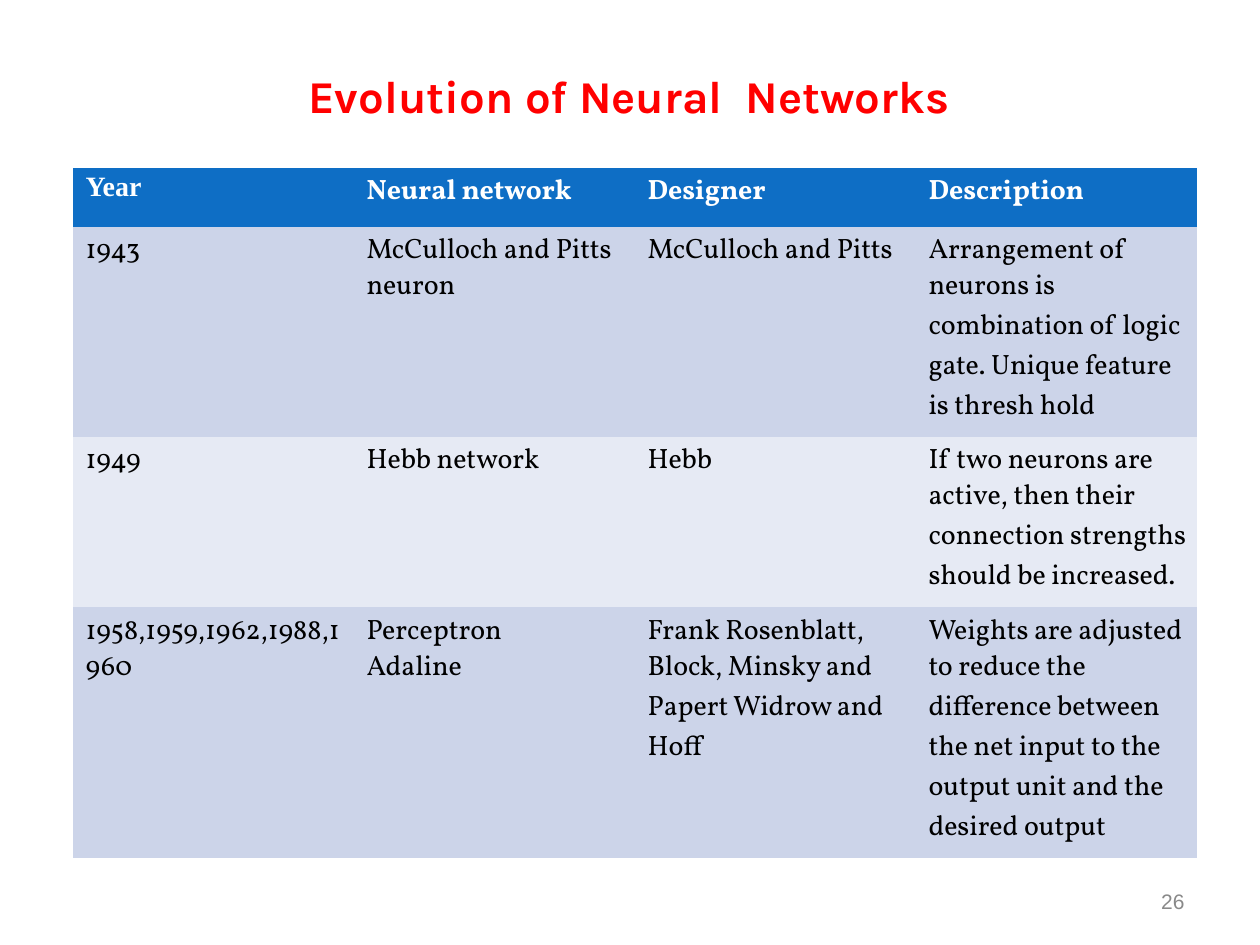
import pptx
import pptx.dml.color
import pptx.enum.text
import pptx.oxml.ns
import pptx.util

Inches = pptx.util.Inches
Pt = pptx.util.Pt
ALIGN = pptx.enum.text.PP_ALIGN
MIDDLE = pptx.enum.text.MSO_ANCHOR.MIDDLE

COLORS = {
    "title": "FF0000",
    "header": "0E6EC5",
    "header_text": "FFFFFF",
    "band_dark": "CCD4E9",
    "band_light": "E6EAF4",
    "body_text": "000000",
    "number": "898989",
}
NO_GRID_STYLE = "{2D5ABB26-0587-4C30-8999-92F81FD0307C}"
COLUMN_WIDTHS = [2.19, 2.22, 2.23, 2.28]
COLUMN_INDENTS = [0.1, 0.14, 0.15, 0.15]
HEADER_HEIGHT = 0.47
FIRST_LINE_HEIGHT = 0.4

HEADINGS = ["Year", "Neural network", "Designer", "Description"]
ENTRIES = [
    [
        ["1943"],
        ["McCulloch and Pitts", "neuron"],
        ["McCulloch and Pitts"],
        ["Arrangement of", "neurons is", "combination of logic",
         "gate. Unique feature", "is thresh hold"],
    ],
    [
        ["1949"],
        ["Hebb network"],
        ["Hebb"],
        ["If two neurons are", "active, then their",
         "connection strengths", "should be increased."],
    ],
    [
        ["1958,1959,1962,1988,1", "960"],
        ["Perceptron", "Adaline"],
        ["Frank Rosenblatt,", "Block, Minsky and", "Papert Widrow and", "Hoff"],
        ["Weights are adjusted", "to reduce the", "difference between",
         "the net input to the", "output unit and the", "desired output"],
    ],
]


def rgb(name):
    return pptx.dml.color.RGBColor.from_string(COLORS[name])


def add_run(paragraph, text, font_name, size, color, bold=False):
    run = paragraph.add_run()
    run.text = text
    run.font.name = font_name
    run.font.size = Pt(size)
    run.font.bold = bold
    run.font.color.rgb = rgb(color)


def set_margins(target, left=0, top=0, right=0, bottom=0):
    target.margin_left = Inches(left)
    target.margin_top = Inches(top)
    target.margin_right = Inches(right)
    target.margin_bottom = Inches(bottom)


def place_title(slide, left, top, width, height):
    title = slide.shapes.title
    title.left, title.top = Inches(left), Inches(top)
    title.width, title.height = Inches(width), Inches(height)
    frame = title.text_frame
    frame.auto_size = pptx.enum.text.MSO_AUTO_SIZE.NONE
    frame.vertical_anchor = MIDDLE
    set_margins(frame, top=0.01)
    paragraph = frame.paragraphs[0]
    paragraph.alignment = ALIGN.CENTER
    add_run(paragraph, "Evolution of Neural  Networks", "Karla", 26, "title", True)


def fill_row(table, row, texts, fill, text_color, starts_entry, bold=False):
    for column, text in enumerate(texts):
        cell = table.cell(row, column)
        cell.fill.solid()
        cell.fill.fore_color.rgb = rgb(fill)
        set_margins(cell, COLUMN_INDENTS[column], 0.04 if starts_entry else 0)
        paragraph = cell.text_frame.paragraphs[0]
        if not (starts_entry and text):
            paragraph.line_spacing = Pt(17)
        if text:
            font_name = "Times New Roman" if text == "Year" else "Vollkorn"
            if font_name == "Times New Roman":
                cell.margin_top = Inches(0.03)
            add_run(paragraph, text, font_name, 16, text_color, bold)


def place_table(slide, left, top, width, height):
    line_counts = [max(len(lines) for lines in entry) for entry in ENTRIES]
    row_count = 1 + sum(line_counts)
    frame = slide.shapes.add_table(
        row_count, len(HEADINGS),
        Inches(left), Inches(top), Inches(width), Inches(height))
    table = frame.table
    style = table._tbl.tblPr.find(pptx.oxml.ns.qn("a:tableStyleId"))
    style.text = NO_GRID_STYLE
    table.horz_banding = False
    for column, column_width in zip(table.columns, COLUMN_WIDTHS):
        column.width = Inches(column_width)

    fixed_height = HEADER_HEIGHT + FIRST_LINE_HEIGHT * len(ENTRIES)
    next_line_height = (height - fixed_height) / (row_count - 1 - len(ENTRIES))
    table.rows[0].height = Inches(HEADER_HEIGHT)
    fill_row(table, 0, HEADINGS, "header", "header_text", True, True)

    row = 1
    for index, (entry, line_count) in enumerate(zip(ENTRIES, line_counts)):
        fill = "band_light" if index % 2 else "band_dark"
        for line in range(line_count):
            texts = [lines[line] if line < len(lines) else "" for lines in entry]
            row_height = next_line_height if line else FIRST_LINE_HEIGHT
            table.rows[row].height = Inches(row_height)
            fill_row(table, row, texts, fill, "body_text", line == 0)
            row += 1


def place_slide_number(slide, left, top, width, height):
    box = slide.shapes.add_textbox(
        Inches(left), Inches(top), Inches(width), Inches(height))
    frame = box.text_frame
    frame.word_wrap = True
    frame.vertical_anchor = MIDDLE
    set_margins(frame, 0.1, 0.05, 0.1, 0.05)
    paragraph = frame.paragraphs[0]
    paragraph.alignment = ALIGN.RIGHT
    add_run(paragraph, "26", "Arial", 12, "number")


def main():
    presentation = pptx.Presentation()
    presentation.slide_width = Inches(10)
    presentation.slide_height = Inches(7.5)
    slide = presentation.slides.add_slide(presentation.slide_layouts[5])
    place_title(slide, 1.75, 0.53, 6.49, 0.45)
    place_table(slide, 0.58, 1.33, 8.92, 5.48)
    place_slide_number(slide, 7.17, 6.95, 2.33, 0.4)
    presentation.save("out.pptx")


if __name__ == "__main__":
    main()
